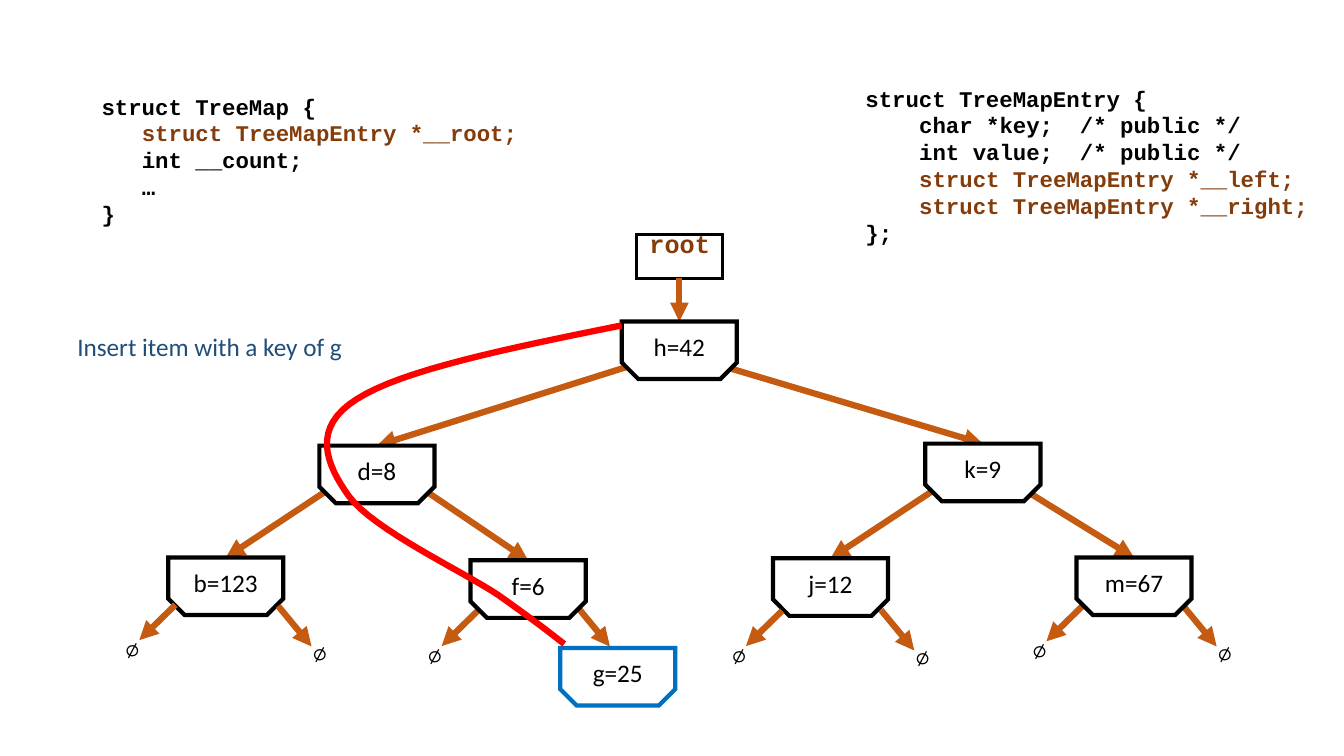
from lxml.etree import SubElement
from pptx import Presentation
from pptx.dml.color import RGBColor
from pptx.enum.shapes import MSO_CONNECTOR as Link, MSO_SHAPE as Shape
from pptx.enum.text import MSO_ANCHOR as Anchor, PP_ALIGN as Align
from pptx.oxml.ns import qn
from pptx.util import Cm, Pt

BLACK = RGBColor(0x00, 0x00, 0x00)
WHITE = RGBColor(0xFF, 0xFF, 0xFF)
ORANGE = RGBColor(0xC5, 0x5A, 0x11)
BROWN = RGBColor(0x84, 0x3C, 0x0B)
NAVY = RGBColor(0x1F, 0x4E, 0x79)
BLUE = RGBColor(0x00, 0x70, 0xC0)
RED = RGBColor(0xFF, 0x00, 0x00)
BODY, CODE = "Calibri", "Courier New"
CODE_CHAR = 9.6  # width in points of one character of 16 pt code

# All positions below are in centimetres
NODE_W, NODE_H = 2.9, 1.45
NODES = {  # key: (value, left, top)
    "b": (123, 4.24, 14.05), "j": (12, 19.48, 14.07),
    "k": (9, 23.32, 11.18), "d": (8, 8.05, 11.23),
    "f": (6, 11.86, 14.12), "h": (42, 15.67, 8.1),
    "m": (67, 27.13, 14.05), "g": (25, 14.12, 16.33),
}
BACK_NODES = "bj"  # these lie behind their own leaf arrows
BRANCHES = [  # start of the arrow, child it points to
    ((16.61, 8.99), "d"), ((18.36, 9.27), "k"),
    ((8.18, 12.4), "b"), ((10.77, 12.4), "f"),
    ((23.55, 12.34), "j"), ((25.81, 12.34), "m"),
    ((17.12, 7.01), "h"),
]
LEFT_LEAVES = [(4.42, 15.24), (12.04, 15.39), (19.71, 15.39), (27.28, 15.27)]
RIGHT_LEAVES = [(7.01, 15.27), (22.2, 15.37), (29.82, 15.27)]
G_LEAF = (14.53, 15.27)
LEFT_STEP, RIGHT_STEP = (-0.91, 0.89), (0.84, 1.02)
LEFT_NULL, RIGHT_NULL = (-1.52, 0.51), (0.61, 0.58)

SEARCH_START = (15.67, 8.2)
SEARCH_CURVES = [  # two control points and an end point each
    ((12.9, 8.76), (10.13, 9.32), (8.99, 10.06)),
    ((7.85, 10.77), (8.2, 11.68), (8.79, 12.5)),
    ((9.4, 13.34), (11.63, 14.38), (12.55, 14.99)),
    ((13.44, 15.62), (13.84, 15.93), (14.22, 16.23)),
]

# Code lines: text, indent in characters, colour
MAP_CODE = [
    ("struct TreeMap {", 0, BLACK),
    ("struct TreeMapEntry *__root;", 3, BROWN),
    ("int __count;", 3, BLACK),
    ("…", 3, BLACK),
    ("}", 0, BLACK),
]
ENTRY_CODE = [
    ("struct TreeMapEntry {", 0, BLACK),
    ("char *key;  /* public */", 4, BLACK),
    ("int value;  /* public */", 4, BLACK),
    ("struct TreeMapEntry *__left;", 4, BROWN),
    ("struct TreeMapEntry *__right;", 4, BROWN),
    ("};", 0, BLACK),
]


def write(paragraph, text, font=BODY, size=18, color=BLACK, bold=False,
          align=Align.LEFT, indent=0):
    paragraph.alignment = align
    if indent:
        margins = paragraph._p.get_or_add_pPr()
        margins.set("marL", str(Pt(indent)))
        margins.set("indent", "0")
    run = paragraph.add_run()
    run.text = text
    run.font.name, run.font.size, run.font.bold = font, Pt(size), bold
    run.font.color.rgb = color


def text_box(slide, left, top, width, height, anchor=Anchor.TOP, wrap=True):
    frame = slide.shapes.add_textbox(
        Cm(left), Cm(top), Cm(width), Cm(height)).text_frame
    frame.word_wrap, frame.vertical_anchor = wrap, anchor
    return frame


def code_block(slide, lines, left, top, width, height):
    frame = text_box(slide, left, top, width, height)
    for number, (text, indent, color) in enumerate(lines):
        paragraph = frame.add_paragraph() if number else frame.paragraphs[0]
        write(paragraph, text, font=CODE, size=16, color=color, bold=True,
              indent=indent * CODE_CHAR)


def outline(shape, color, width):
    shape.shadow.inherit = False
    shape.line.color.rgb, shape.line.width = color, Pt(width)
    SubElement(shape.line._get_or_add_ln(), qn("a:miter"), lim="800000")


def node(slide, key, color=BLACK):
    value, left, top = NODES[key]
    box = slide.shapes.add_shape(Shape.SNIP_2_SAME_RECTANGLE, Cm(left),
                                 Cm(top), Cm(NODE_W), Cm(NODE_H))
    box.adjustments[0], box.adjustments[1] = 0, 0.286
    box.fill.solid()
    box.fill.fore_color.rgb = WHITE
    outline(box, color, 3)
    box.text_frame.vertical_anchor = Anchor.MIDDLE
    write(box.text_frame.paragraphs[0], f"{key}={value}", align=Align.CENTER)


def arrow(slide, start, end):
    link = slide.shapes.add_connector(
        Link.STRAIGHT, *(Cm(value) for value in (*start, *end)))
    link.line.color.rgb, link.line.width = ORANGE, Pt(4.5)
    SubElement(link.line._get_or_add_ln(), qn("a:tailEnd"), type="triangle")
    SubElement(link._element.spPr, qn("a:effectLst"))


def shifted(point, step):
    return point[0] + step[0], point[1] + step[1]


def null_leaf(slide, start, step, null_offset):
    arrow(slide, start, shifted(start, step))
    frame = text_box(slide, *shifted(start, null_offset), 0.84, 1.09,
                     anchor=Anchor.MIDDLE)
    write(frame.paragraphs[0], "∅", font=CODE)


def root_box(slide):
    root = slide.shapes.add_shape(Shape.RECTANGLE, Cm(16.05), Cm(5.92),
                                  Cm(2.16), Cm(1.09))
    root.fill.background()
    outline(root, BLACK, 2.25)
    frame = root.text_frame
    frame.vertical_anchor = Anchor.MIDDLE
    frame.margin_top, frame.margin_bottom = Cm(0), Cm(0.64)
    write(frame.paragraphs[0], "root", font=CODE, color=BROWN, bold=True,
          align=Align.CENTER)


def bezier(p0, p1, p2, p3, steps=16):
    for step in range(1, steps + 1):
        t = step / steps
        u = 1 - t
        yield tuple(Cm(u**3 * a + 3 * u**2 * t * b + 3 * u * t**2 * c + t**3 * d)
                    for a, b, c, d in zip(p0, p1, p2, p3))


def search_path(slide):
    points, here = [], SEARCH_START
    for curve in SEARCH_CURVES:
        points += bezier(here, *curve)
        here = curve[-1]
    builder = slide.shapes.build_freeform(*(Cm(v) for v in SEARCH_START))
    builder.add_line_segments(points, close=False)
    route = builder.convert_to_shape()
    route.fill.background()
    outline(route, RED, 4.5)


def main():
    deck = Presentation()
    deck.slide_width, deck.slide_height = Cm(33.87), Cm(19.05)
    slide = deck.slides.add_slide(deck.slide_layouts[6])

    # Tree: branches, nodes and empty leaves
    root_box(slide)
    for start, child in BRANCHES:
        _, left, top = NODES[child]
        arrow(slide, start, (left + NODE_W / 2, top))
    for key in BACK_NODES:
        node(slide, key)
    for start in LEFT_LEAVES:
        null_leaf(slide, start, LEFT_STEP, LEFT_NULL)
    for start in RIGHT_LEAVES:
        null_leaf(slide, start, RIGHT_STEP, RIGHT_NULL)
    arrow(slide, G_LEAF, shifted(G_LEAF, RIGHT_STEP))
    for key in NODES:
        if key not in BACK_NODES:
            node(slide, key, color=BLUE if key == "g" else BLACK)

    # Struct definitions and task
    code_block(slide, ENTRY_CODE, 21.56, 2.01, 11.86, 4.45)
    code_block(slide, MAP_CODE, 2.31, 2.21, 11.71, 3.76)
    task = text_box(slide, 1.7, 8.23, 7.26, 1.02, wrap=False)
    write(task.paragraphs[0], "Insert item with a key of g", color=NAVY)

    # Search path down to the new item
    search_path(slide)
    deck.save("out.pptx")


if __name__ == "__main__":
    main()
